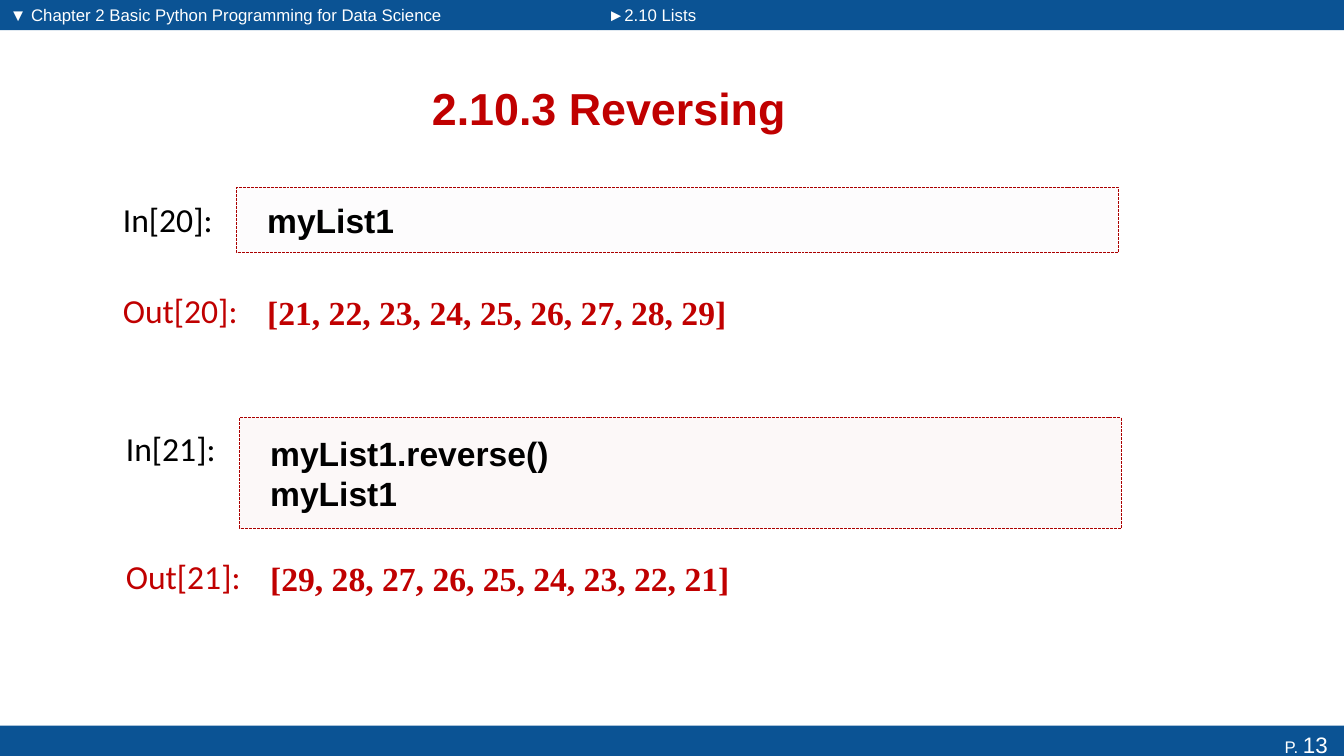
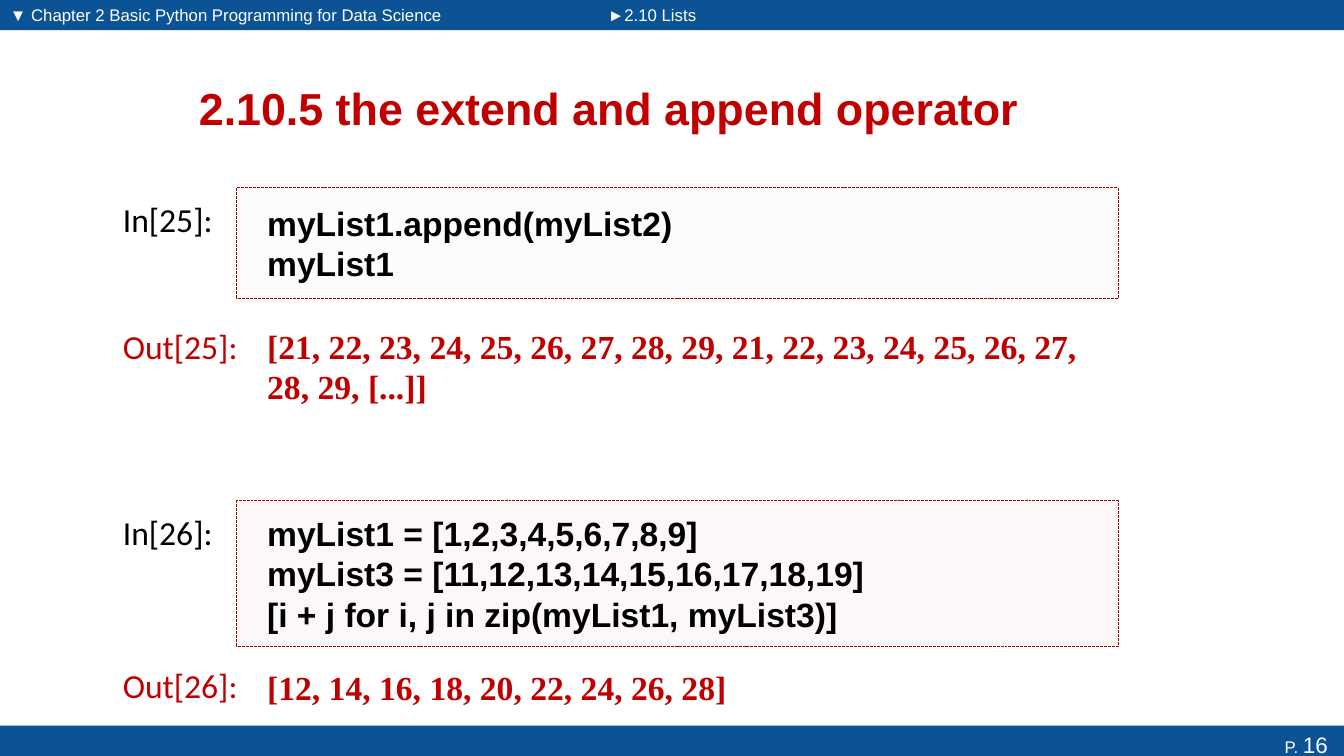
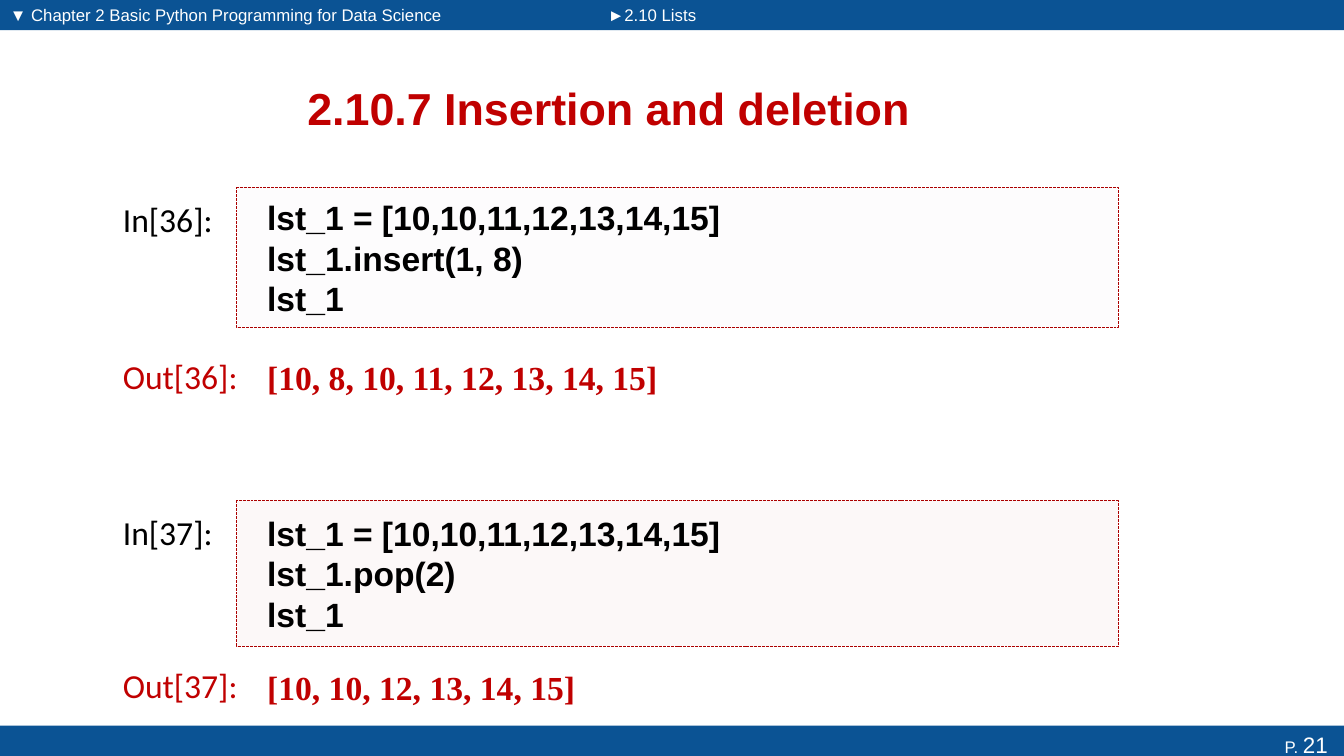
from lxml.etree import SubElement
from pptx import Presentation
from pptx.dml.color import RGBColor
from pptx.enum.dml import MSO_LINE
from pptx.enum.shapes import MSO_SHAPE
from pptx.enum.text import MSO_ANCHOR, PP_ALIGN
from pptx.oxml.ns import qn
from pptx.util import Inches, Pt

BLUE = RGBColor(0x0B, 0x53, 0x94)
WHITE = RGBColor(0xFF, 0xFF, 0xFF)
BLACK = RGBColor(0x00, 0x00, 0x00)
RED = RGBColor(0xC0, 0x00, 0x00)
DARK_RED = RGBColor(0xAB, 0x00, 0x00)
LILAC = RGBColor(0xF1, 0xEE, 0xF4)
ROSE = RGBColor(0xED, 0xCD, 0xCB)

SLIDE_W, SLIDE_H = 13.33, 7.5
HEADER_H, HEADER_SPLIT = 0.3, 5.93
FOOTER_TOP, FOOTER_H = 7.2, 0.37
CHAPTER = "▼ Chapter 2 Basic Python Programming for Data Science"
SECTION = "►2.10 Lists"

CELL_LEFT, CELL_W = 2.35, 8.74
LABEL_OFFSET, LABEL_DROP = 1.23, 0.06
LABEL_W, LABEL_H = 1.46, 0.5
CELL_FILLS = (LILAC, ROSE)
FILL_OPACITY = 13

# Each cell: number, left, (top, height) of code, code lines,
# (top, height) of result, result
PAGES = [
    ("2.10.3 Reversing", 13, [
        (20, CELL_LEFT, (1.86, 0.65), ["myList1"],
         (2.77, 0.65), "[21, 22, 23, 24, 25, 26, 27, 28, 29]"),
        (21, CELL_LEFT + 0.03, (4.14, 1.1), ["myList1.reverse()", "myList1"],
         (5.41, 0.65), "[29, 28, 27, 26, 25, 24, 23, 22, 21]"),
    ]),
    ("2.10.5 the extend and append operator", 16, [
        (25, CELL_LEFT, (1.86, 1.1), ["myList1.append(myList2)", "myList1"],
         (3.12, 1.02),
         "[21, 22, 23, 24, 25, 26, 27, 28, 29, 21, 22, 23, 24, 25, 26, 27, 28, 29, [...]]"),
        (26, CELL_LEFT, (4.97, 1.44),
         ["myList1 = [1,2,3,4,5,6,7,8,9]",
          "myList3 = [11,12,13,14,15,16,17,18,19]",
          "[i + j for i, j in zip(myList1, myList3)]"],
         (6.49, 0.65), "[12, 14, 16, 18, 20, 22, 24, 26, 28]"),
    ]),
    ("2.10.7 Insertion and deletion", 21, [
        (36, CELL_LEFT, (1.86, 1.39),
         ["lst_1 = [10,10,11,12,13,14,15]", "lst_1.insert(1, 8)", "lst_1"],
         (3.42, 0.65), "[10, 8, 10, 11, 12, 13, 14, 15]"),
        (37, CELL_LEFT, (4.97, 1.44),
         ["lst_1 = [10,10,11,12,13,14,15]", "lst_1.pop(2)", "lst_1"],
         (6.49, 0.65), "[10, 10, 12, 13, 14, 15]"),
    ]),
]


def set_font(paragraph, name, size, color, bold=False):
    font = paragraph.font
    font.name, font.size, font.bold = name, Pt(size), bold
    font.color.rgb = color


def write(shape, lines, name, size, color, bold=False, anchor=MSO_ANCHOR.TOP,
          inset=0.1, align=PP_ALIGN.LEFT):
    frame = shape.text_frame
    frame.word_wrap = True
    frame.vertical_anchor = anchor
    frame.margin_left = Inches(inset)
    frame.text = "\n".join(lines)
    for paragraph in frame.paragraphs:
        paragraph.alignment = align
        set_font(paragraph, name, size, color, bold)


def add_box(shapes, left, top, width, height, fill):
    """Add a flat rectangle without an outline."""
    box = shapes.add_shape(MSO_SHAPE.RECTANGLE, Inches(left), Inches(top),
                           Inches(width), Inches(height))
    box.shadow.inherit = False
    box.fill.solid()
    box.fill.fore_color.rgb = fill
    box.line.fill.background()
    return box


def add_text(shapes, left, top, width, height, text, *style, **layout):
    box = shapes.add_textbox(Inches(left), Inches(top), Inches(width), Inches(height))
    write(box, [text], *style, **layout)


def add_frame(slide, page_number):
    """Add the header bands with their texts and the footer with the page number."""
    shapes = slide.shapes
    for left, width, text_width, text in (
            (0, HEADER_SPLIT, 4.83, CHAPTER),
            (HEADER_SPLIT, SLIDE_W - HEADER_SPLIT, 2.57, SECTION)):
        add_box(shapes, left, 0, width, HEADER_H, BLUE)
        add_text(shapes, left, 0, text_width, HEADER_H, text, "Arial", 12, WHITE)
    footer = add_box(shapes, 0, FOOTER_TOP, SLIDE_W, FOOTER_H, BLUE)
    write(footer, ["P. "], "Arial", 12, WHITE, align=PP_ALIGN.RIGHT)
    number = footer.text_frame.paragraphs[0].add_run()
    number.text = f"{page_number} "
    number.font.size = Pt(16)


def add_cell(slide, fill, number, left, code_span, code, result_span, result):
    """Add one notebook cell as a group: labels, code box and result."""
    shapes = slide.shapes.add_group_shape().shapes
    for word, (top, _), color in (("In", code_span, BLACK), ("Out", result_span, RED)):
        add_text(shapes, left - LABEL_OFFSET, top + LABEL_DROP, LABEL_W, LABEL_H,
                 f"{word}[{number}]:", "Calibri", 24, color)

    code_box = add_box(shapes, left, code_span[0], CELL_W, code_span[1], fill)
    color_xml = code_box.fill._xPr.find(qn("a:solidFill"))[0]
    SubElement(color_xml, qn("a:alpha"), val=str(FILL_OPACITY * 1000))
    code_box.line.color.rgb = DARK_RED
    code_box.line.width = Pt(0.7)
    code_box.line.dash_style = MSO_LINE.SQUARE_DOT
    write(code_box, code, "Arial", 24, BLACK, bold=True,
          anchor=MSO_ANCHOR.MIDDLE, inset=0.3)

    add_text(shapes, left, result_span[0], CELL_W, result_span[1], result,
             "Times New Roman", 24, RED, bold=True,
             anchor=MSO_ANCHOR.MIDDLE, inset=0.3)


def add_title(slide, text):
    title = slide.shapes.title
    title.left, title.top = Inches(0.68), Inches(0.62)
    title.width, title.height = Inches(10.72), Inches(0.9)
    write(title, [text], "Arial", 32, RED, bold=True,
          anchor=MSO_ANCHOR.MIDDLE, align=PP_ALIGN.CENTER)


def main():
    deck = Presentation()
    deck.slide_width, deck.slide_height = Inches(SLIDE_W), Inches(SLIDE_H)
    title_only = deck.slide_layouts[5]
    for heading, page_number, cells in PAGES:
        slide = deck.slides.add_slide(title_only)
        add_frame(slide, page_number)
        add_title(slide, heading)
        for fill, cell in zip(CELL_FILLS, cells):
            add_cell(slide, fill, *cell)
    deck.save("out.pptx")


if __name__ == "__main__":
    main()
